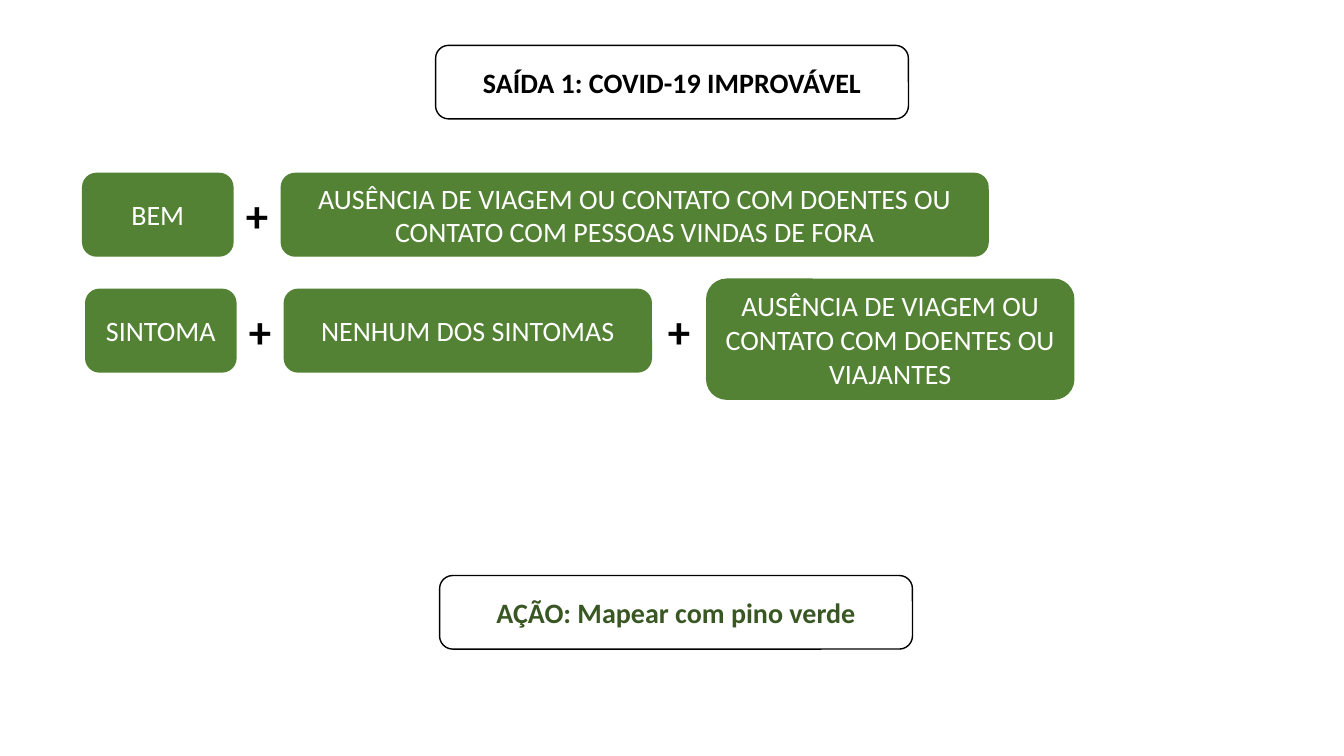
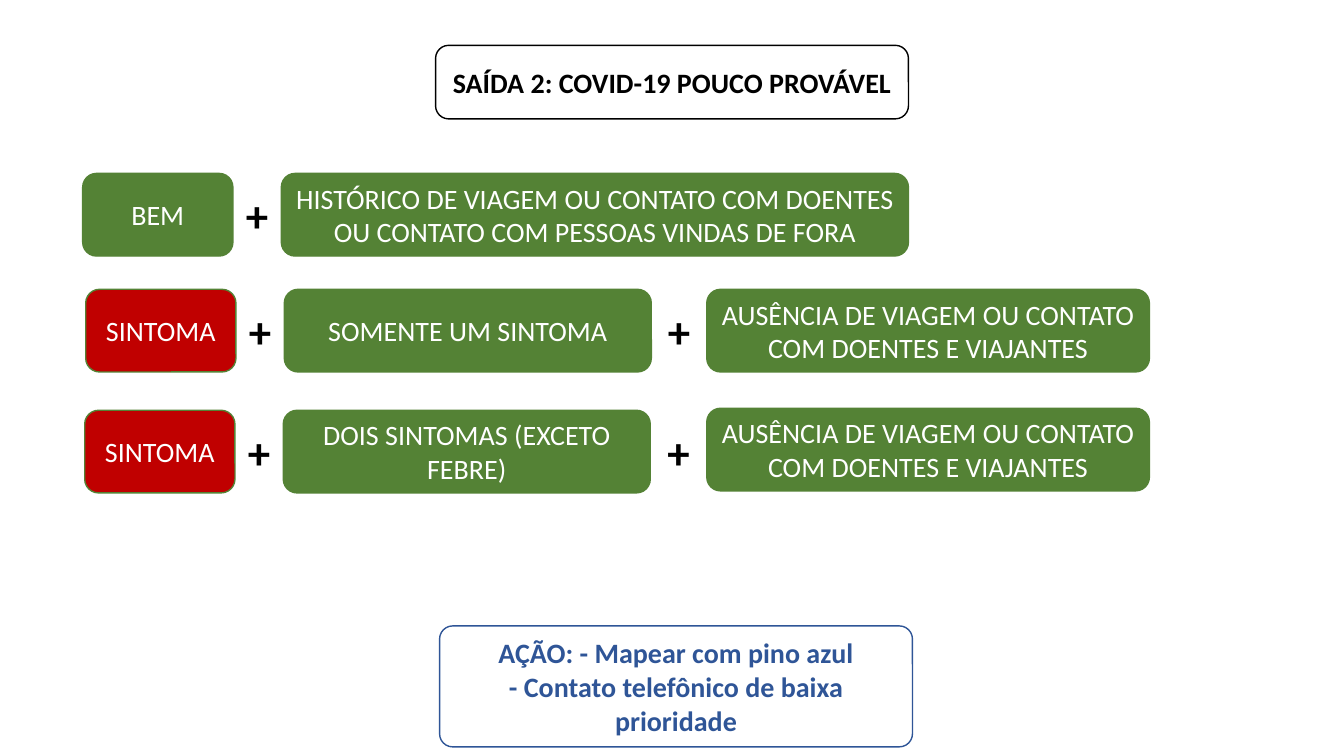
from pptx import Presentation
from pptx.dml.color import RGBColor
from pptx.enum.shapes import MSO_SHAPE
from pptx.enum.text import MSO_ANCHOR, PP_ALIGN
from pptx.util import Inches, Pt

COLORS = {
    "white": "FFFFFF",
    "black": "000000",
    "green": "548235",
    "dark_green": "385723",
    "red": "C00000",
    "blue": "2F5597",
}
FONT = "Calibri"
FRAME_WIDTH = 4.69
FRAME_HEIGHT = 0.73
CORNER_RADIUS = 0.13
BOX_HEIGHT = 0.82
STATE_WIDTH = 1.49
SYMPTOM_WIDTH = 3.64
TRAVEL_WIDTH = 4.39
STATE_GAP = 0.48
TRAVEL_LEFT = 7.01
PLUS_WIDTH = 0.43
PLUS_HEIGHT = 0.64

NO_TRAVEL = "AUSÊNCIA DE VIAGEM OU CONTATO COM DOENTES E VIAJANTES"

SLIDES = [
    {
        "title": "SAÍDA 1: COVID-19 IMPROVÁVEL",
        "rows": [
            {
                "left": 0.82, "top": 1.72, "state": ("BEM", "green"),
                "condition": ("AUSÊNCIA DE VIAGEM OU CONTATO COM DOENTES OU "
                              "CONTATO COM PESSOAS VINDAS DE FORA", 7.01),
            },
            {
                "left": 0.85, "top": 2.87, "state": ("SINTOMA", "green"),
                "condition": ("NENHUM DOS SINTOMAS", SYMPTOM_WIDTH),
                "travel": ("AUSÊNCIA DE VIAGEM OU CONTATO COM DOENTES OU VIAJANTES",
                           2.77, SYMPTOM_WIDTH, 1.19),
            },
        ],
        "action": {
            "lines": ["AÇÃO: Mapear com pino verde"],
            "top": 5.71, "height": FRAME_HEIGHT,
            "line": "black", "color": "dark_green",
        },
    },
    {
        "title": "SAÍDA 2: COVID-19 POUCO PROVÁVEL",
        "rows": [
            {
                "left": 0.82, "top": 1.72, "state": ("BEM", "green"),
                "condition": ("HISTÓRICO DE VIAGEM OU CONTATO COM DOENTES OU "
                              "CONTATO COM PESSOAS VINDAS DE FORA", 6.22),
            },
            {
                "left": 0.85, "top": 2.87, "state": ("SINTOMA", "red"),
                "condition": ("SOMENTE UM SINTOMA", SYMPTOM_WIDTH),
                "travel": (NO_TRAVEL, 2.87, TRAVEL_WIDTH, BOX_HEIGHT),
            },
            {
                "left": 0.84, "top": 4.07, "state": ("SINTOMA", "red"),
                "condition": ("DOIS SINTOMAS (EXCETO FEBRE)", SYMPTOM_WIDTH),
                "travel": (NO_TRAVEL, 4.05, TRAVEL_WIDTH, BOX_HEIGHT),
            },
        ],
        "action": {
            "lines": ["AÇÃO: - Mapear com pino azul",
                      "- Contato telefônico de baixa prioridade"],
            "top": 6.21, "height": 1.2,
            "line": "blue", "color": "blue",
        },
    },
]


def rgb(name):
    return RGBColor.from_string(COLORS[name])


def write_lines(shape, lines, color, size=20, bold=False):
    frame = shape.text_frame
    for index, line in enumerate(lines):
        paragraph = frame.add_paragraph() if index else frame.paragraphs[0]
        paragraph.alignment = PP_ALIGN.CENTER
        run = paragraph.add_run()
        run.text = line
        run.font.name = FONT
        run.font.size = Pt(size)
        run.font.bold = bold
        run.font.color.rgb = rgb(color)


def add_panel(slide, preset, left, top, width, height, fill, line):
    shape = slide.shapes.add_shape(
        preset, Inches(left), Inches(top), Inches(width), Inches(height))
    shape.shadow.inherit = False
    shape.fill.solid()
    shape.fill.fore_color.rgb = rgb(fill)
    shape.line.color.rgb = rgb(line)
    shape.line.width = Pt(1)
    shape.text_frame.word_wrap = True
    shape.text_frame.vertical_anchor = MSO_ANCHOR.MIDDLE
    return shape


def add_frame(slide, lines, left, top, height, line, color):
    frame = add_panel(slide, MSO_SHAPE.ROUNDED_RECTANGLE,
                      left, top, FRAME_WIDTH, height, "white", line)
    frame.adjustments[0] = CORNER_RADIUS / height
    write_lines(frame, lines, color, bold=True)


def add_box(slide, text, left, top, width, height=BOX_HEIGHT, fill="green"):
    box = add_panel(slide, MSO_SHAPE.FLOWCHART_ALTERNATE_PROCESS,
                    left, top, width, height, fill, "green")
    write_lines(box, [text], "white")


def add_plus(slide, gap_left, gap_right, row_top):
    left = (gap_left + gap_right - PLUS_WIDTH) / 2
    top = row_top + (BOX_HEIGHT - PLUS_HEIGHT) / 2
    plus = slide.shapes.add_textbox(
        Inches(left), Inches(top), Inches(PLUS_WIDTH), Inches(PLUS_HEIGHT))
    plus.text_frame.word_wrap = False
    write_lines(plus, ["+"], "black", size=32, bold=True)


def add_row(slide, row):
    top = row["top"]
    state, fill = row["state"]
    condition, condition_width = row["condition"]
    state_right = row["left"] + STATE_WIDTH
    condition_left = state_right + STATE_GAP
    add_box(slide, state, row["left"], top, STATE_WIDTH, fill=fill)
    add_plus(slide, state_right, condition_left, top)
    add_box(slide, condition, condition_left, top, condition_width)
    if "travel" in row:
        travel, travel_top, travel_width, travel_height = row["travel"]
        add_plus(slide, condition_left + condition_width, TRAVEL_LEFT, top)
        add_box(slide, travel, TRAVEL_LEFT, travel_top, travel_width, travel_height)


def main():
    presentation = Presentation()
    presentation.slide_width = Inches(13.33)
    presentation.slide_height = Inches(7.5)
    for content in SLIDES:
        slide = presentation.slides.add_slide(presentation.slide_layouts[6])
        add_frame(slide, [content["title"]], 4.32, 0.45, FRAME_HEIGHT, "black", "black")
        for row in content["rows"]:
            add_row(slide, row)
        add_frame(slide, left=4.36, **content["action"])
    presentation.save("out.pptx")


if __name__ == "__main__":
    main()
